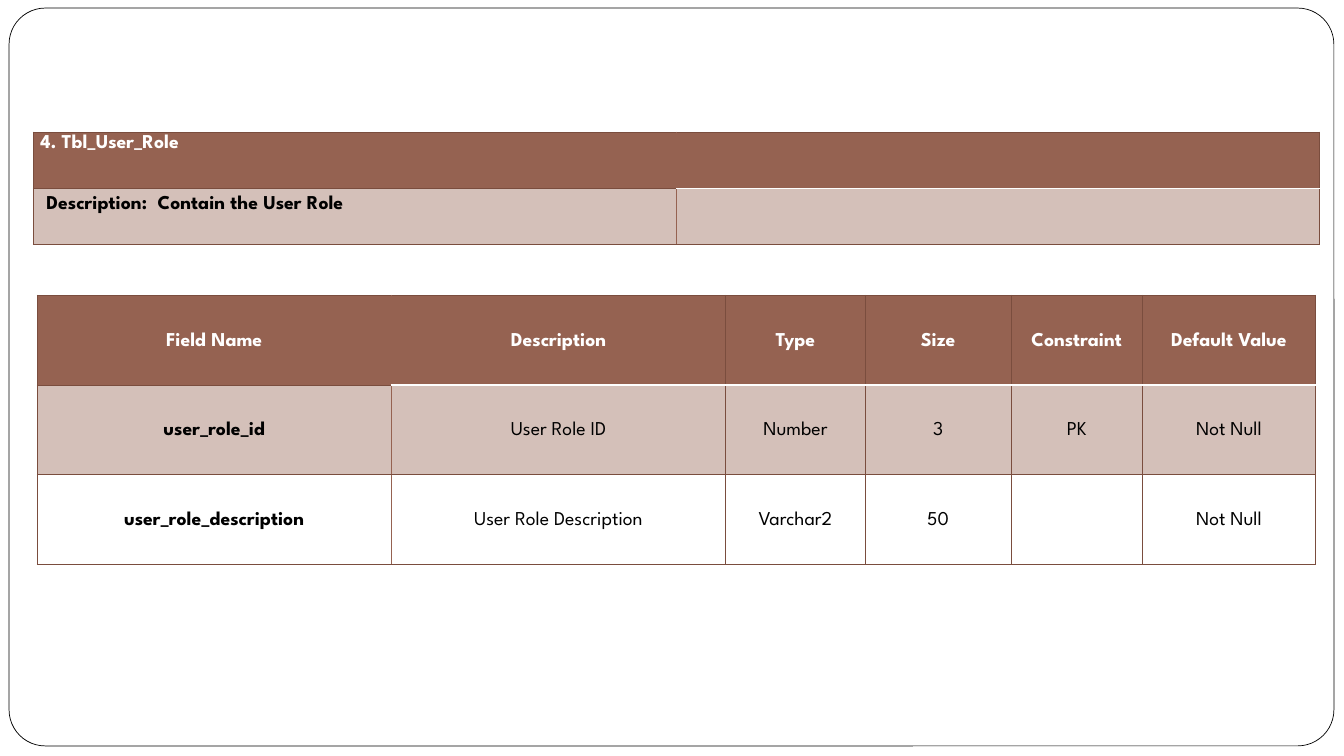
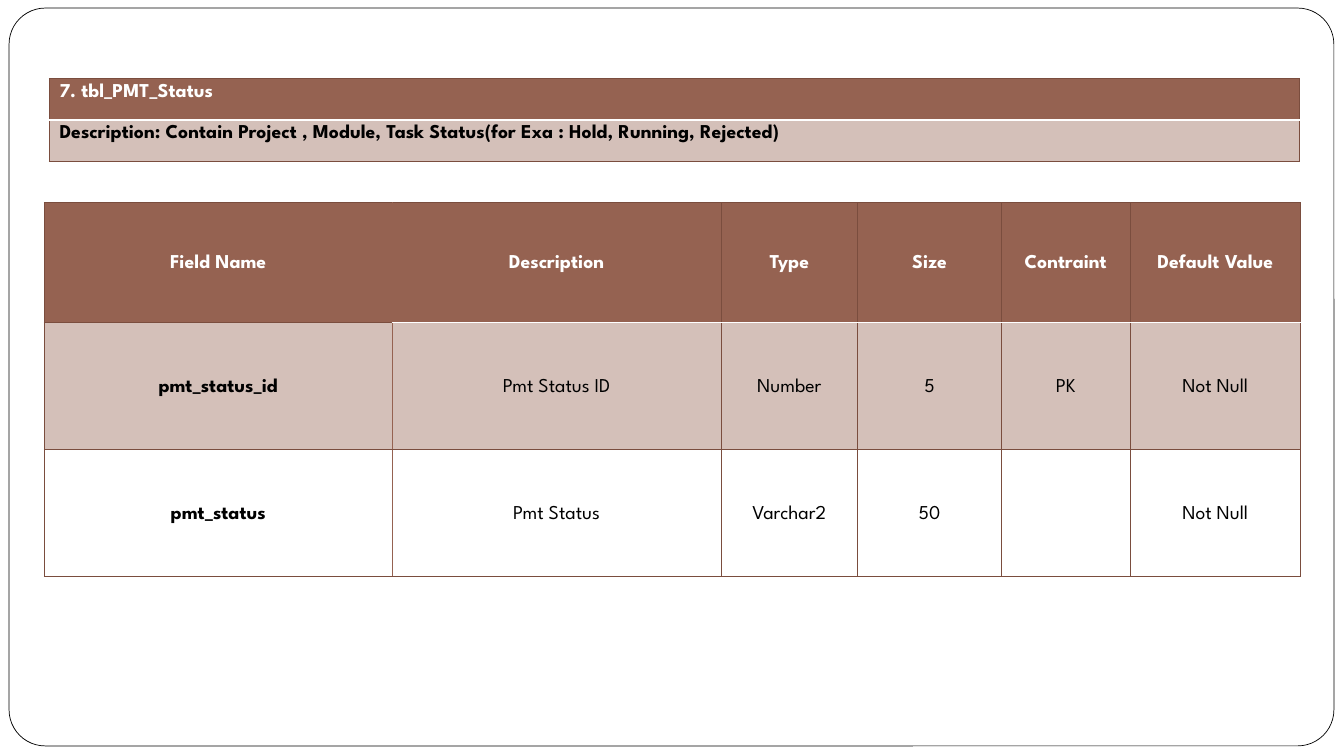
from dataclasses import dataclass

import pptx
import pptx.dml.color
import pptx.enum.shapes
import pptx.enum.text
import pptx.oxml
import pptx.oxml.ns
import pptx.util

Inches = pptx.util.Inches
Pt = pptx.util.Pt

# Shared look
SLIDE_WIDTH, SLIDE_HEIGHT = 13.33, 7.5
FONT = "League Spartan"
COLORS = {
    "header": "956251",
    "grid": "7A4D3E",
    "white": "FFFFFF",
    "black": "000000",
}
TINT_ALPHA = 40
FIELD_WEIGHTS = (3.51, 3.32, 1.38, 1.45, 1.3, 1.72)


@dataclass(frozen=True)
class Grid:
    """A table whose first row is its header; lengths in inches."""
    left: float
    top: float
    width: float
    weights: tuple[float, ...]
    row_heights: tuple[float, ...]
    rows: tuple[tuple[str, ...], ...]
    centered: bool = False
    inset: tuple[float, float] = (0.07, 0)
    body_inset: tuple[float, float] = (0.07, 0)
    spacing: float = 1.15


@dataclass(frozen=True)
class SchemaSlide:
    fields: Grid
    banner: Grid


SCHEMAS = (
    SchemaSlide(
        fields=Grid(
            0.37, 2.93, 12.68, FIELD_WEIGHTS, (0.89, 0.89, 0.89),
            (
                ("Field Name", "Description", "Type", "Size", "Constraint", "Default Value"),
                ("user_role_id", "User Role ID", "Number", "3", "PK", "Not Null"),
                ("user_role_description", "User Role Description", "Varchar2", "50", "", "Not Null"),
            ),
            centered=True,
        ),
        banner=Grid(
            0.33, 1.31, 12.76, (1, 1), (0.56, 0.56),
            (("4. Tbl_User_Role", ""), ("Description:  Contain the User Role", "")),
            body_inset=(0.13, 0.05),
        ),
    ),
    SchemaSlide(
        fields=Grid(
            0.44, 2.01, 12.46, FIELD_WEIGHTS, (1.19, 1.26, 1.26),
            (
                ("Field Name", "Description", "Type", "Size", "Contraint", "Default Value"),
                ("pmt_status_id", "Pmt Status ID", "Number", "5", "PK", "Not Null"),
                ("pmt_status", "Pmt Status", "Varchar2", "50", "", "Not Null"),
            ),
            centered=True,
        ),
        banner=Grid(
            0.49, 0.78, 12.4, (1,), (0.41, 0.41),
            (
                ("7. tbl_PMT_Status",),
                ("Description: Contain Project , Module, Task Status(for Exa : Hold, Running, Rejected)",),
            ),
            inset=(0.1, 0.05),
            body_inset=(0.1, 0.05),
            spacing=1.0,
        ),
    ),
)


def rgb(name: str) -> pptx.dml.color.RGBColor:
    return pptx.dml.color.RGBColor.from_string(COLORS[name])


def write_text(frame, text: str, *, color: str = "black", bold: bool = False,
               size: float = 14, centered: bool = False, spacing: float = 1.0) -> None:
    paragraph = frame.paragraphs[0]
    align = pptx.enum.text.PP_ALIGN
    paragraph.alignment = align.CENTER if centered else align.LEFT
    paragraph.line_spacing = spacing
    paragraph.font.size = Pt(size)
    if not text:
        return
    run = paragraph.add_run()
    run.text = text
    run.font.name = FONT
    run.font.size = Pt(size)
    run.font.bold = bold
    run.font.color.rgb = rgb(color)


# Cell borders and fills
def horizontal_edge(boundary: int, column: int, column_count: int) -> tuple[str, float]:
    under_header = boundary == 1 and (column > 0 or column_count == 1)
    return ("white", 1) if under_header else ("grid", 0.75)


def vertical_edge(boundary: int, column_count: int) -> tuple[str, float]:
    beside_first = boundary == 1 and column_count > 1
    return ("header", 1) if beside_first else ("grid", 0.75)


def set_borders(cell, row: int, column: int, column_count: int) -> None:
    edges = {
        "lnL": vertical_edge(column, column_count),
        "lnR": vertical_edge(column + 1, column_count),
        "lnT": horizontal_edge(row, column, column_count),
        "lnB": horizontal_edge(row + 1, column, column_count),
    }
    properties = cell._tc.get_or_add_tcPr()
    for position, (tag, (color, width)) in enumerate(edges.items()):
        border = pptx.oxml.parse_xml(
            f'<a:{tag} {pptx.oxml.ns.nsdecls("a")} w="{int(Pt(width))}">'
            f'<a:solidFill><a:srgbClr val="{COLORS[color]}"/></a:solidFill></a:{tag}>'
        )
        properties.insert(position, border)


def fill_cell(cell, row: int) -> None:
    """Solid header, tinted first body row, clear after that."""
    if row > 1:
        cell.fill.background()
        return
    cell.fill.solid()
    cell.fill.fore_color.rgb = rgb("header")
    if row == 1:
        properties = cell._tc.get_or_add_tcPr()
        tint = properties.find(".//" + pptx.oxml.ns.qn("a:srgbClr"))
        tint.append(pptx.oxml.parse_xml(
            f'<a:alpha {pptx.oxml.ns.nsdecls("a")} val="{TINT_ALPHA * 1000}"/>'
        ))


# Slide parts
def add_grid(slide, grid: Grid) -> None:
    column_count = len(grid.weights)
    table = slide.shapes.add_table(
        len(grid.rows), column_count, Inches(grid.left), Inches(grid.top),
        Inches(grid.width), Inches(sum(grid.row_heights)),
    ).table
    table.horz_banding = False
    for column, weight in zip(table.columns, grid.weights):
        column.width = Inches(grid.width * weight / sum(grid.weights))
    for table_row, height in zip(table.rows, grid.row_heights):
        table_row.height = Inches(height)

    anchors = pptx.enum.text.MSO_ANCHOR
    for row, texts in enumerate(grid.rows):
        side, above = grid.body_inset if row else grid.inset
        for column, text in enumerate(texts):
            cell = table.cell(row, column)
            cell.margin_left, cell.margin_right = Inches(side), Inches(grid.inset[0])
            cell.margin_top, cell.margin_bottom = Inches(above), Inches(grid.inset[1])
            cell.vertical_anchor = anchors.MIDDLE if grid.centered else anchors.TOP
            fill_cell(cell, row)
            set_borders(cell, row, column, column_count)
            write_text(
                cell.text_frame, text, color="black" if row else "white",
                bold=row == 0 or column == 0, centered=grid.centered, spacing=grid.spacing,
            )


def add_frame_to_layout(slide) -> None:
    """Put the rounded page frame on the layout that all slides share."""
    page_frame = slide.shapes.add_shape(
        pptx.enum.shapes.MSO_SHAPE.ROUNDED_RECTANGLE,
        Inches(0.09), Inches(0.08), Inches(13.14), Inches(7.32),
    )
    page_frame.adjustments[0] = 0.049
    page_frame.shadow.inherit = False
    page_frame.fill.solid()
    page_frame.fill.fore_color.rgb = rgb("white")
    page_frame.line.color.rgb = rgb("black")
    page_frame.line.width = Pt(0.5)
    slide.slide_layout.shapes.element.append(page_frame.element)


def main() -> None:
    deck = pptx.Presentation()
    deck.slide_width, deck.slide_height = Inches(SLIDE_WIDTH), Inches(SLIDE_HEIGHT)
    blank_layout = deck.slide_layouts[6]
    for number, schema in enumerate(SCHEMAS):
        slide = deck.slides.add_slide(blank_layout)
        if number == 0:
            add_frame_to_layout(slide)
        add_grid(slide, schema.fields)
        add_grid(slide, schema.banner)
    deck.save("out.pptx")


if __name__ == "__main__":
    main()
